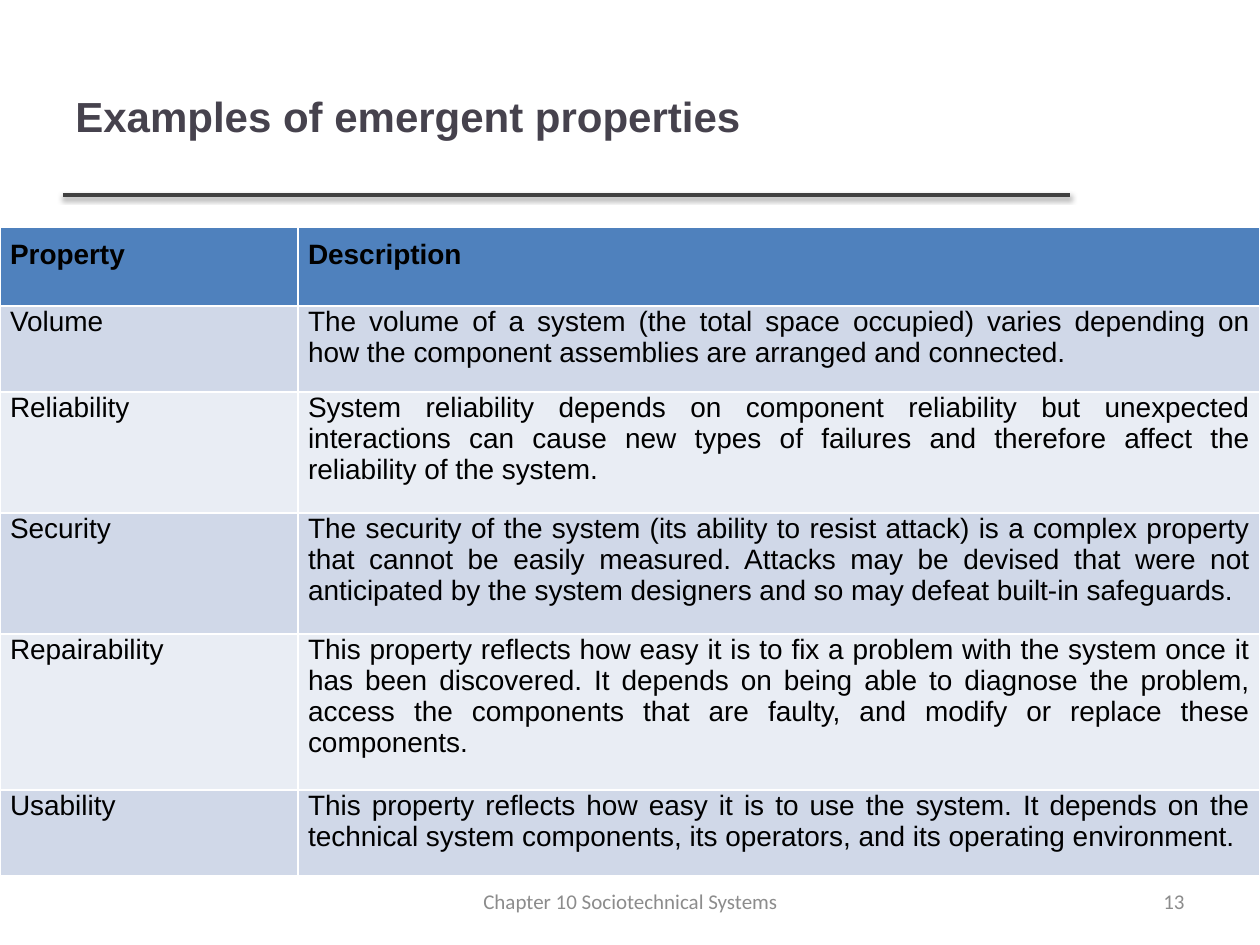
from lxml import etree
from pptx import Presentation
from pptx import util as u
from pptx.dml.color import RGBColor
from pptx.enum import shapes, text
from pptx.oxml.ns import qn

PX = 914400 // 126
TITLE = "Examples of emergent properties"
FOOTER = "Chapter 10 Sociotechnical Systems"
PAGE = "13"
PROPERTIES = [
    ("Property", "Description"),
    ("Volume", "The volume of a system (the total space occupied) varies depending on how the "
     "component assemblies are arranged and connected."),
    ("Reliability", "System reliability depends on component reliability but unexpected "
     "interactions can cause new types of failures and therefore affect the reliability "
     "of the system."),
    ("Security", "The security of the system (its ability to resist attack) is a complex "
     "property that cannot be easily measured. Attacks may be devised that were not "
     "anticipated by the system designers and so may defeat built-in safeguards."),
    ("Repairability", "This property reflects how easy it is to fix a problem with the system "
     "once it has been discovered. It depends on being able to diagnose the problem, access "
     "the components that are faulty, and modify or replace these components."),
    ("Usability", "This property reflects how easy it is to use the system. It depends on the "
     "technical system components, its operators, and its operating environment."),
]
COLUMN_WIDTHS = [298, 962]
ROW_HEIGHTS = [79, 86, 121, 121, 156, 86]
HEADER_FILL, BAND_FILLS = "4F81BD", ["E9EDF4", "D0D8E8"]
ALIGN = text.PP_ALIGN


def px(*lengths):
    """Turn px lengths into EMU."""
    return [u.Emu(length * PX) for length in lengths]


def color(value):
    """Turn a hex string into a colour."""
    return RGBColor.from_string(value)


def style(paragraph, align, size, font, value, bold=False):
    """Set the alignment and font of a paragraph."""
    paragraph.alignment = align
    paragraph.font.size = u.Pt(size)
    paragraph.font.name = font
    paragraph.font.bold = bold
    paragraph.font.color.rgb = color(value)


def add_label(slide, words, box, *look):
    """Add a vertically centred line of text."""
    frame = slide.shapes.add_textbox(*px(*box)).text_frame
    frame.word_wrap = True
    frame.vertical_anchor = text.MSO_ANCHOR.MIDDLE
    frame.text = words
    style(frame.paragraphs[0], *look)


def add_rule(slide):
    """Add the line under the title with its soft shadow."""
    rule = slide.shapes.add_connector(shapes.MSO_CONNECTOR.STRAIGHT, *px(63, 195, 1070, 195))
    rule.line.color.rgb = color("404040")
    rule.line.width = u.Pt(2)
    effects = etree.SubElement(rule.element.spPr, qn("a:effectLst"))
    shadow = etree.SubElement(effects, qn("a:outerShdw"), blurRad=str(u.Pt(3.1)),
                              dist=str(u.Pt(1.6)), dir="5400000", rotWithShape="0")
    black = etree.SubElement(shadow, qn("a:srgbClr"), val="000000")
    etree.SubElement(black, qn("a:alpha"), val="38000")


def add_properties(slide):
    """Add the table of properties."""
    box = px(0, 227, sum(COLUMN_WIDTHS), sum(ROW_HEIGHTS))
    table = slide.shapes.add_table(len(PROPERTIES), len(COLUMN_WIDTHS), *box).table
    for column, width in zip(table.columns, px(*COLUMN_WIDTHS)):
        column.width = width
    for r, (row, height) in enumerate(zip(table.rows, px(*ROW_HEIGHTS))):
        row.height = height
        header = r == 0
        for cell, words in zip(row.cells, PROPERTIES[r]):
            cell.text = words
            cell.margin_left = cell.margin_right = u.Inches(0.08)
            cell.margin_top = u.Inches(0.1 if header else 0)
            cell.margin_bottom = u.Inches(0.1)
            cell.fill.solid()
            cell.fill.fore_color.rgb = color(HEADER_FILL if header else BAND_FILLS[r % 2])
            style(cell.text_frame.paragraphs[0], ALIGN.JUSTIFY, 16, "Arial", "000000", header)


def main():
    """Build the slide of emergent properties."""
    deck = Presentation()
    deck.slide_width, deck.slide_height = px(1260, 945)
    slide = deck.slides.add_slide(deck.slide_layouts[6])
    add_rule(slide)
    add_label(slide, TITLE, (63, 37, 1134, 157), ALIGN.LEFT, 24, "Arial", "46424D", True)
    add_properties(slide)
    add_label(slide, PAGE, (903, 876, 294, 50), ALIGN.RIGHT, 12, "Calibri", "8C8C8C")
    add_label(slide, FOOTER, (431, 876, 399, 50), ALIGN.CENTER, 12, "Calibri", "8C8C8C")
    deck.save("out.pptx")


if __name__ == "__main__":
    main()
